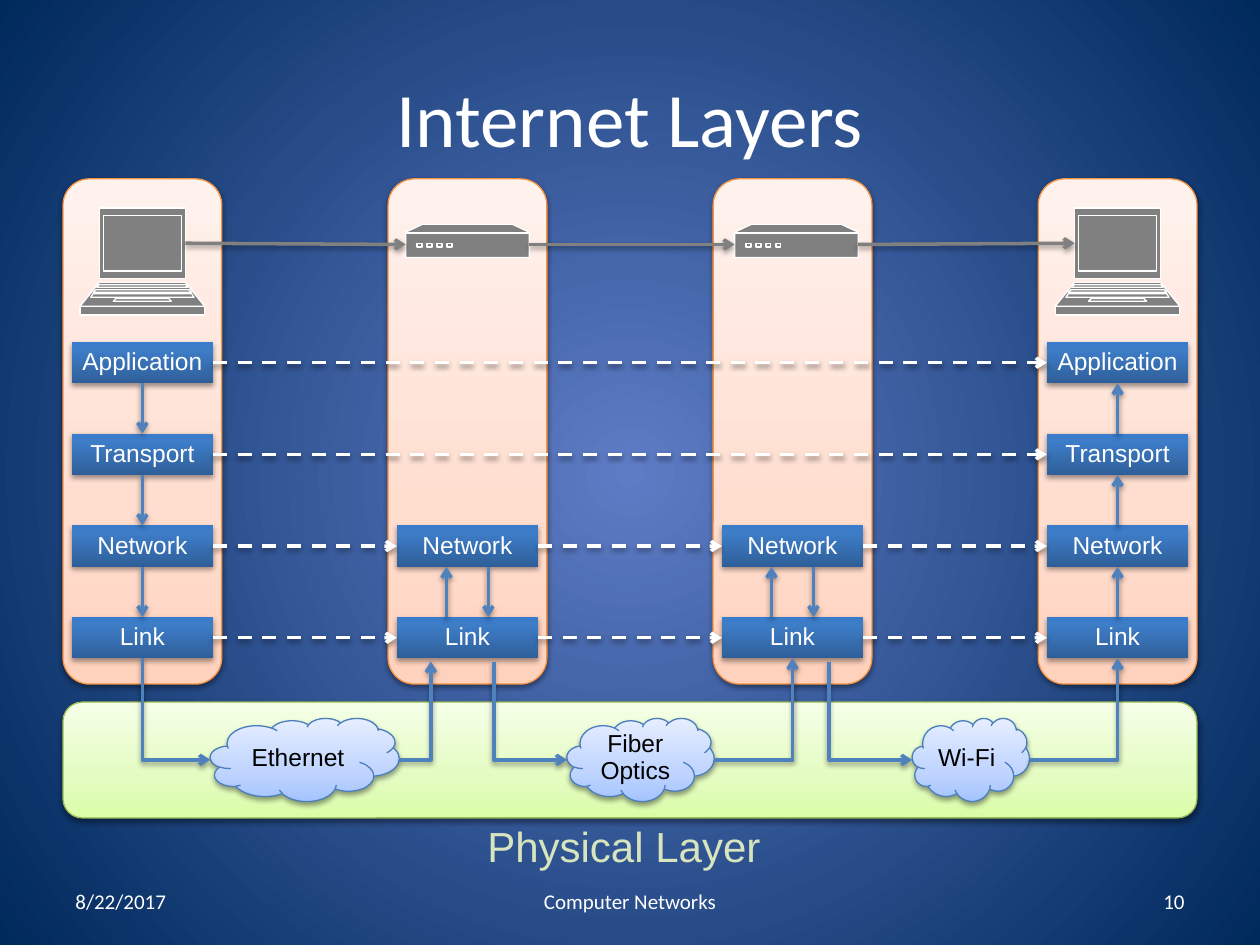
"""Build the Internet Layers slide: hosts, routers and the physical layer that joins them."""
from dataclasses import dataclass
from itertools import pairwise
from typing import NamedTuple

from pptx import Presentation
from pptx.dml.color import RGBColor
from pptx.enum import dml, shapes, text
from pptx.oxml import parse_xml
from pptx.oxml.ns import nsdecls, qn
from pptx.util import Pt

Stops = tuple[tuple[int, str], ...]
Point = tuple[float, float]


@dataclass(frozen=True)
class Theme:
    heading_font: str = "Calibri"
    body_font: str = "Arial"
    title_size: float = 44
    caption_size: float = 24
    label_size: float = 14
    footer_size: float = 12
    white: str = "FFFFFF"
    black: str = "000000"
    caption: str = "D7E4BD"
    flow: str = "4F81BD"
    device: str = "808080"
    column_line: str = "F69240"
    panel_line: str = "98B955"
    cloud_line: str = "4B7EBC"
    background: Stops = ((0, "5E7CC5"), (100, "00295C"))
    column: Stops = ((0, "FFD2BD"), (35, "FFDED0"), (100, "FFF2ED"))
    panel: Stops = ((0, "DAFDA7"), (35, "E4FCC2"), (100, "F5FFE7"))
    layer: Stops = ((0, "2F5F99"), (80, "3D7CC7"), (100, "3A7CCB"))
    cloud: Stops = ((0, "A4C4FF"), (35, "BFD4FF"), (100, "E6EEFF"))


class Box(NamedTuple):
    left: float
    top: float
    width: float
    height: float

    def lengths(self) -> tuple:
        return tuple(Pt(value) for value in self)


class Medium(NamedTuple):
    name: str
    left: float
    width: float
    drop: Point
    rise: Point


class Label(NamedTuple):
    words: str
    box: Box
    size: float
    alignment: text.PP_ALIGN


THEME = Theme()
PITCH, COLUMN_LEFT, COLUMN_WIDTH = 185.75, 36, 90.75
LAYER_WIDTH, LAYER_HEIGHT = 80.75, 23.7
LAYER_TOPS = {name: 195.4 + 52.4 * row
              for row, name in enumerate(("Application", "Transport", "Network", "Link"))}
CENTRES = [COLUMN_LEFT + COLUMN_WIDTH / 2 + PITCH * column for column in range(4)]
ROUTER_CENTRES = (CENTRES[1], CENTRES[2] + 2.2)
HOST_CENTRES = (CENTRES[0], CENTRES[3])
LINK_BOTTOM, ROUTER_PORT, WIRE = 376.2, 378, 434.2
MEDIA = (
    Medium("Ethernet", 120.2, 108, (CENTRES[0], LINK_BOTTOM), (246.2, ROUTER_PORT)),
    Medium("Fiber Optics", 324, 84.2, (282.2, ROUTER_PORT), (452.9, LINK_BOTTOM)),
    Medium("Wi-Fi", 521.3, 67, (473.8, ROUTER_PORT), (CENTRES[3], LINK_BOTTOM)),
)
LABELS = (
    Label("Internet Layers", Box(36, 21.6, 648, 90), THEME.title_size, text.PP_ALIGN.CENTER),
    Label("8/22/2017", Box(36, 500.5, 168, 28.75), THEME.footer_size, text.PP_ALIGN.LEFT),
    Label("Computer Networks", Box(246, 500.5, 228, 28.75), THEME.footer_size, text.PP_ALIGN.CENTER),
    Label("10", Box(516, 500.5, 168, 28.75), THEME.footer_size, text.PP_ALIGN.RIGHT),
)


def gradient(stops: Stops, direction: str):
    marks = "".join(f'<a:gs pos="{position * 1000}"><a:srgbClr val="{colour}"/></a:gs>'
                    for position, colour in stops)
    return parse_xml(f'<a:gradFill {nsdecls("a")} rotWithShape="1"><a:gsLst>{marks}</a:gsLst>'
                     f'{direction}</a:gradFill>')


def paint_gradient(fill, parent, stops: Stops, direction: str = '<a:lin ang="16200000" scaled="0"/>') -> None:
    fill.background()
    parent.replace(parent.find(qn("a:noFill")), gradient(stops, direction))


def add_shadow(shape) -> None:
    shape.element.spPr.append(parse_xml(
        f'<a:effectLst {nsdecls("a")}><a:outerShdw blurRad="39400" dist="20300" dir="5400000" '
        'rotWithShape="0"><a:srgbClr val="000000"><a:alpha val="38000"/></a:srgbClr>'
        '</a:outerShdw></a:effectLst>'))


def set_line(line, colour: str, width: float) -> None:
    line.color.rgb = RGBColor.from_string(colour)
    line.width = Pt(width)


def write(shape, words: str, font: str, size: float, colour: str, alignment: text.PP_ALIGN):
    frame = shape.text_frame
    frame.word_wrap = True
    frame.vertical_anchor = text.MSO_ANCHOR.MIDDLE
    frame.text = words
    paragraph = frame.paragraphs[0]
    paragraph.alignment = alignment
    paragraph.font.name, paragraph.font.size = font, Pt(size)
    paragraph.font.color.rgb = RGBColor.from_string(colour)
    return frame


def add_block(slide, kind: shapes.MSO_SHAPE, box: Box, stops: Stops, outline: str | None = None,
              words: str = "", colour: str = THEME.white) -> None:
    shape = slide.shapes.add_shape(kind, *box.lengths())
    paint_gradient(shape.fill, shape.element.spPr, stops)
    if outline:
        set_line(shape.line, outline, 0.75)
    else:
        shape.line.fill.background()
    add_shadow(shape)
    if words:
        frame = write(shape, words, THEME.body_font, THEME.label_size, colour, text.PP_ALIGN.CENTER)
        frame.margin_left = frame.margin_right = 0
        frame.paragraphs[0].line_spacing = 0.93


def add_arrow(slide, start: Point, end: Point, colour: str, dashed: bool = False,
              kind: shapes.MSO_CONNECTOR = shapes.MSO_CONNECTOR.STRAIGHT):
    connector = slide.shapes.add_connector(kind, *(Pt(value) for value in (*start, *end)))
    set_line(connector.line, colour, 2)
    if dashed:
        connector.line.dash_style = dml.MSO_LINE.DASH
    connector.element.spPr.find(qn("a:ln")).append(parse_xml(f'<a:tailEnd {nsdecls("a")} type="arrow"/>'))
    add_shadow(connector)
    return connector


def add_bend(slide, start: Point, end: Point, vertical_first: bool) -> None:
    if vertical_first:
        middle_x, middle_y = (start[0] + end[0]) / 2, (start[1] + end[1]) / 2
        half_x, half_y = (end[0] - start[0]) / 2, (end[1] - start[1]) / 2
        start, end = (middle_x + half_y, middle_y - half_x), (middle_x - half_y, middle_y + half_x)
    connector = add_arrow(slide, start, end, THEME.flow, kind=shapes.MSO_CONNECTOR.ELBOW)
    properties = connector.element.spPr
    properties.find(qn("a:prstGeom")).set("prst", "bentConnector2")
    if vertical_first:
        properties.find(qn("a:xfrm")).set("rot", "16200000")


def trapezoid(half_top: float, half_bottom: float, top: float, bottom: float, centre: float = 0) -> list[Point]:
    return [(centre - half_top, top), (centre + half_top, top),
            (centre + half_bottom, bottom), (centre - half_bottom, bottom)]


LAPTOP = [trapezoid(*sizes) for sizes in (
    (24.5, 24.5, 0, 40.3), (24.5, 35.6, 42.5, 56.2), (35.6, 35.6, 56.2, 61.2),
    (22.3, 22.3, 4.3, 36), (24.8, 26, 43.9, 45.4), (15.1, 16.6, 51.8, 53.3),
    (26.6, 28.1, 46.8, 48.2), (28.1, 29.5, 49, 51.1))]
ROUTER = [[(-35.3, 4.5), (-25.7, 0), (25.7, 0), (35.3, 4.5), (35.3, 19), (-35.3, 19)],
          [(-35.3, 5), (35.3, 5)],
          *(trapezoid(1.4, 1.4, 10.8, 13, -27.4 + 5.7 * light) for light in range(4))]


def add_device(slide, outlines: list[list[Point]], centre: float, top: float) -> None:
    placed = [[(Pt(centre + x), Pt(top + y)) for x, y in outline] for outline in outlines]
    builder = slide.shapes.build_freeform(*placed[0][0])
    for index, (first, *others) in enumerate(placed):
        if index:
            builder.move_to(*first)
        builder.add_line_segments(others, close=len(others) > 1)
    shape = builder.convert_to_shape()
    path_list = shape.element.spPr.find(f'.//{qn("a:pathLst")}')
    merged = path_list[0]
    for command in list(merged):
        if command.tag == qn("a:moveTo"):
            part = parse_xml(f'<a:path {nsdecls("a")} w="{merged.get("w")}" h="{merged.get("h")}"/>')
            path_list.append(part)
        part.append(command)
    path_list.remove(merged)
    shape.fill.solid()
    shape.fill.fore_color.rgb = RGBColor.from_string(THEME.device)
    set_line(shape.line, THEME.white, 0.75)
    shape.shadow.inherit = False


def add_column(slide, centre: float, is_host: bool) -> None:
    add_block(slide, shapes.MSO_SHAPE.ROUNDED_RECTANGLE,
              Box(centre - COLUMN_WIDTH / 2, 102.2, COLUMN_WIDTH, 288.7), THEME.column, THEME.column_line)
    layers = list(LAYER_TOPS.items())[0 if is_host else 2:]
    for name, top in layers:
        add_block(slide, shapes.MSO_SHAPE.RECTANGLE,
                  Box(centre - LAYER_WIDTH / 2, top, LAYER_WIDTH, LAYER_HEIGHT), THEME.layer, words=name)
    down_x, up_x = (centre, centre) if is_host else (centre + 12, centre - 12)
    for (_, upper), (_, lower) in pairwise(layers):
        if centre != CENTRES[-1]:
            add_arrow(slide, (down_x, upper + LAYER_HEIGHT), (down_x, lower), THEME.flow)
        if centre != CENTRES[0]:
            add_arrow(slide, (up_x, lower), (up_x, upper + LAYER_HEIGHT), THEME.flow)


def main() -> None:
    presentation = Presentation()
    presentation.slide_width, presentation.slide_height = Pt(720), Pt(540)
    slide = presentation.slides.add_slide(presentation.slide_layouts[6])
    background = slide.background.fill
    paint_gradient(background, slide.element.find(f'.//{qn("p:bgPr")}'), THEME.background,
                   '<a:path path="circle"><a:fillToRect l="50000" t="50000" r="50000" b="50000"/></a:path>')
    add_block(slide, shapes.MSO_SHAPE.ROUNDED_RECTANGLE, Box(36, 401.2, 648, 66.2), THEME.panel, THEME.panel_line)
    for label in LABELS:
        write(slide.shapes.add_textbox(*label.box.lengths()), label.words, THEME.heading_font,
              label.size, THEME.white, label.alignment)
    for centre in CENTRES:
        add_column(slide, centre, centre in HOST_CENTRES)
    for centre in HOST_CENTRES:
        add_device(slide, LAPTOP, centre, 118.8)
    for centre in ROUTER_CENTRES:
        add_device(slide, ROUTER, centre, 128.2)
    for medium in MEDIA:
        add_block(slide, shapes.MSO_SHAPE.CLOUD, Box(medium.left, 410.4, medium.width, 47.5),
                  THEME.cloud, THEME.cloud_line, medium.name, THEME.black)
        add_bend(slide, medium.drop, (medium.left, WIRE), True)
        add_bend(slide, (medium.left + medium.width, WIRE), medium.rise, False)
    stations = [(HOST_CENTRES[0], 24.5, 139), *((centre, 35.3, 139.7) for centre in ROUTER_CENTRES),
                (HOST_CENTRES[1], 24.5, 139)]
    for (x, half, y), (next_x, next_half, next_y) in pairwise(stations):
        add_arrow(slide, (x + half, y), (next_x - next_half, next_y), THEME.device)
    for name, top in LAYER_TOPS.items():
        stops = CENTRES if name in ("Network", "Link") else HOST_CENTRES
        y = top + LAYER_HEIGHT / 2
        for left, right in pairwise(stops):
            add_arrow(slide, (left + LAYER_WIDTH / 2, y), (right - LAYER_WIDTH / 2, y), THEME.white, dashed=True)
    caption = write(slide.shapes.add_textbox(*Box(271.4, 468, 172, 34.5).lengths()), "Physical Layer",
                    THEME.body_font, THEME.caption_size, THEME.caption, text.PP_ALIGN.LEFT)
    caption.word_wrap = False
    caption.vertical_anchor = text.MSO_ANCHOR.TOP
    caption.paragraphs[0].line_spacing = 0.93
    presentation.save("out.pptx")


if __name__ == "__main__":
    main()
